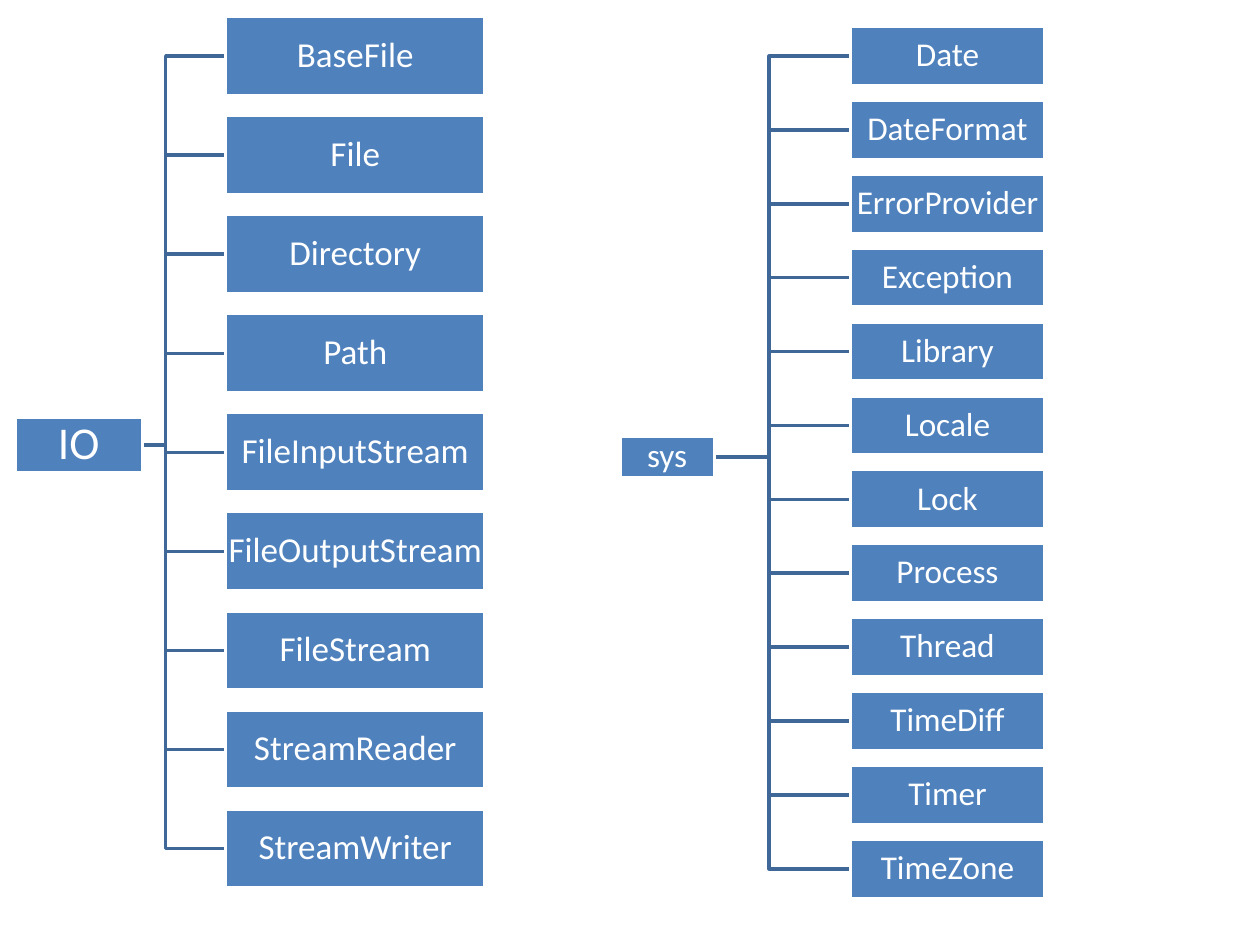
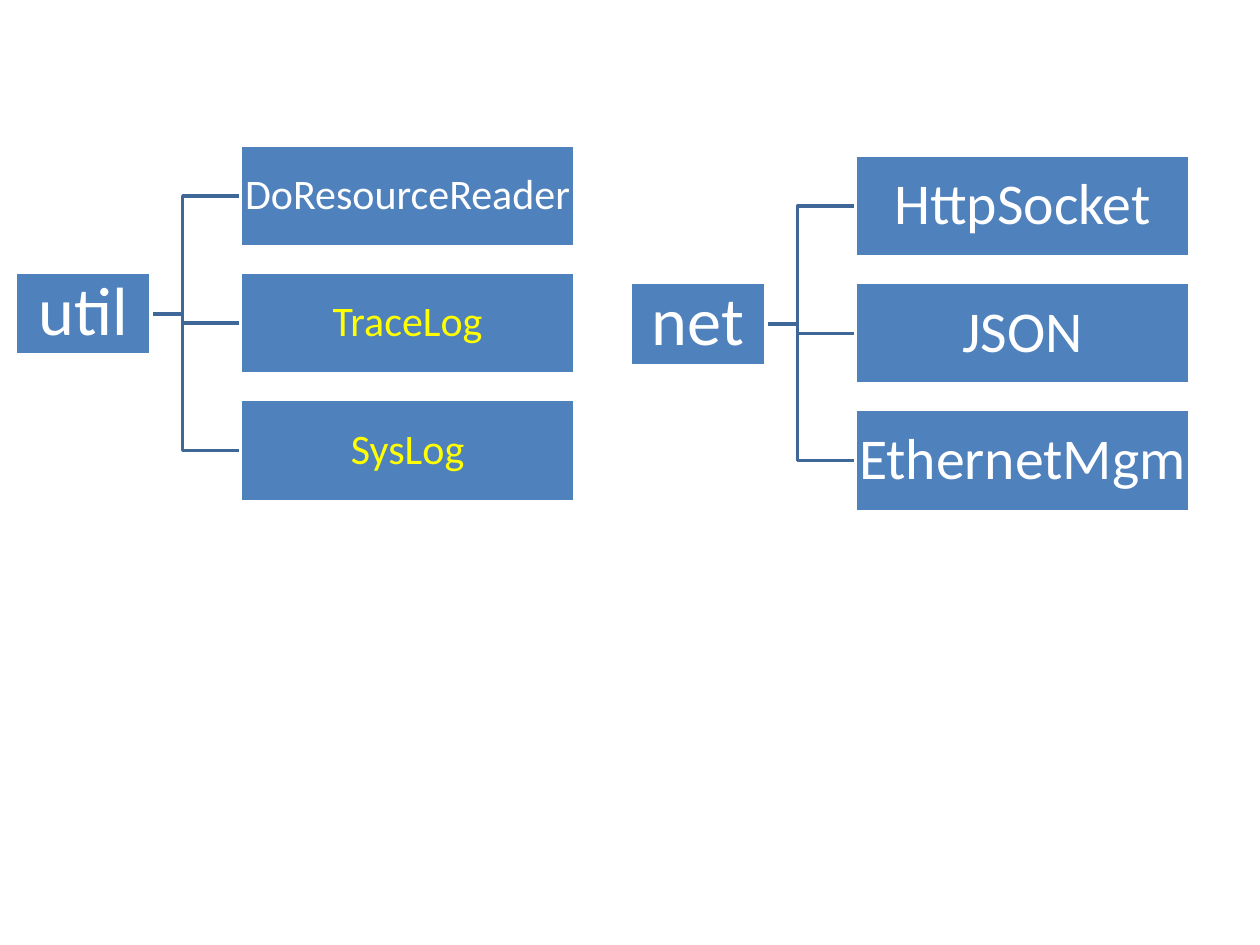
from pptx import Presentation
from pptx.dml.color import RGBColor
from pptx.enum.shapes import MSO_SHAPE as Shape
from pptx.enum.text import MSO_ANCHOR as Anchor, PP_ALIGN as Align
from pptx.util import Inches, Pt


def color(value):
    return RGBColor.from_string(value)


def apply(target, values):
    for name, value in values.items():
        setattr(target, name, value)


class TreeDeck:
    BOX_FILL = "4F81BD"
    BRANCH = "3F6797"
    WHITE = "FFFFFF"
    YELLOW = "FFFF00"
    FONT = "Calibri"
    LINE_WIDTH = Pt(2)
    PARA_FORMAT = {"alignment": Align.CENTER, "line_spacing": 0.9}

    def __init__(self, width, height):
        self.deck = Presentation()
        apply(self.deck, {"slide_width": Inches(width), "slide_height": Inches(height)})
        self.page = None

    def add_page(self):
        self.page = self.deck.slides.add_slide(self.deck.slide_layouts[6])

    def outline(self, shape, value):
        shape.shadow.inherit = False
        shape.line.width = self.LINE_WIDTH
        shape.line.color.rgb = color(value)

    def box(self, text, bounds, size, inset, text_color=WHITE):
        box = self.page.shapes.add_shape(Shape.RECTANGLE, *map(Inches, bounds))
        self.outline(box, self.WHITE)
        box.fill.solid()
        box.fill.fore_color.rgb = color(self.BOX_FILL)
        frame = box.text_frame
        apply(frame, {"word_wrap": False, "vertical_anchor": Anchor.MIDDLE})
        apply(frame, {f"margin_{side}": Inches(inset)
                      for side in ("left", "top", "right", "bottom")})
        para = frame.paragraphs[0]
        apply(para, self.PARA_FORMAT)
        span = para.add_run()
        span.text = text
        apply(span.font, {"name": self.FONT, "size": Pt(size)})
        span.font.color.rgb = color(text_color)

    def branch(self, start, end):
        middle = (start[0] + end[0]) / 2
        corners = [start, (middle, start[1]), (middle, end[1]), end]
        points = [(Inches(x), Inches(y)) for x, y in corners]
        builder = self.page.shapes.build_freeform(*points[0])
        builder.add_line_segments(points[1:], close=False)
        line = builder.convert_to_shape()
        line.fill.background()
        self.outline(line, self.BRANCH)

    def tree(self, root, root_bounds, root_size, root_inset, branch_left,
             leaves, first_bounds, last_top, leaf_size, leaf_inset, marked=()):
        left, top, width, height = first_bounds
        step = (last_top - top) / (len(leaves) - 1)
        tops = [top + index * step for index in range(len(leaves))]
        start = (branch_left, root_bounds[1] + root_bounds[3] / 2)
        for leaf_top in reversed(tops):
            self.branch(start, (left, leaf_top + height / 2))
        self.box(root, root_bounds, root_size, root_inset)
        for leaf, leaf_top in zip(leaves, tops):
            text_color = self.YELLOW if leaf in marked else self.WHITE
            self.box(leaf, (left, leaf_top, width, height),
                     leaf_size, leaf_inset, text_color)

    def save(self):
        self.deck.save("out.pptx")


IO_CLASSES = ["BaseFile", "File", "Directory", "Path", "FileInputStream",
              "FileOutputStream", "FileStream", "StreamReader", "StreamWriter"]
SYS_CLASSES = ["Date", "DateFormat", "ErrorProvider", "Exception", "Library",
               "Locale", "Lock", "Process", "Thread", "TimeDiff", "Timer", "TimeZone"]
LOG_CLASSES = ["TraceLog", "SysLog"]
UTIL_CLASSES = ["DoResourceReader", *LOG_CLASSES]
NET_CLASSES = ["HttpSocket", "JSON", "EthernetMgm"]

trees = TreeDeck(10, 7.5)

trees.add_page()
trees.tree("IO", (0.12, 3.31, 1.01, 0.44), 26, 0.02, 0.84,
           IO_CLASSES, (1.79, 0.13, 2.06, 0.63), 6.42, 20, 0.01)
trees.tree("sys", (4.92, 3.46, 0.75, 0.33), 19, 0.01, 5.46,
           SYS_CLASSES, (6.75, 0.21, 1.54, 0.47), 6.66, 19, 0.01)

trees.add_page()
for root, left, top, leaves, leaf_size in [("util", 0.12, 1.15, UTIL_CLASSES, 24),
                                           ("net", 5, 1.23, NET_CLASSES, 33)]:
    trees.tree(root, (left, top + 1.01, 1.08, 0.66), 39, 0.03, left + 0.87,
               leaves, (left + 1.79, top, 2.65, 0.81), top + 2.02,
               leaf_size, 0.02, LOG_CLASSES)

trees.save()
